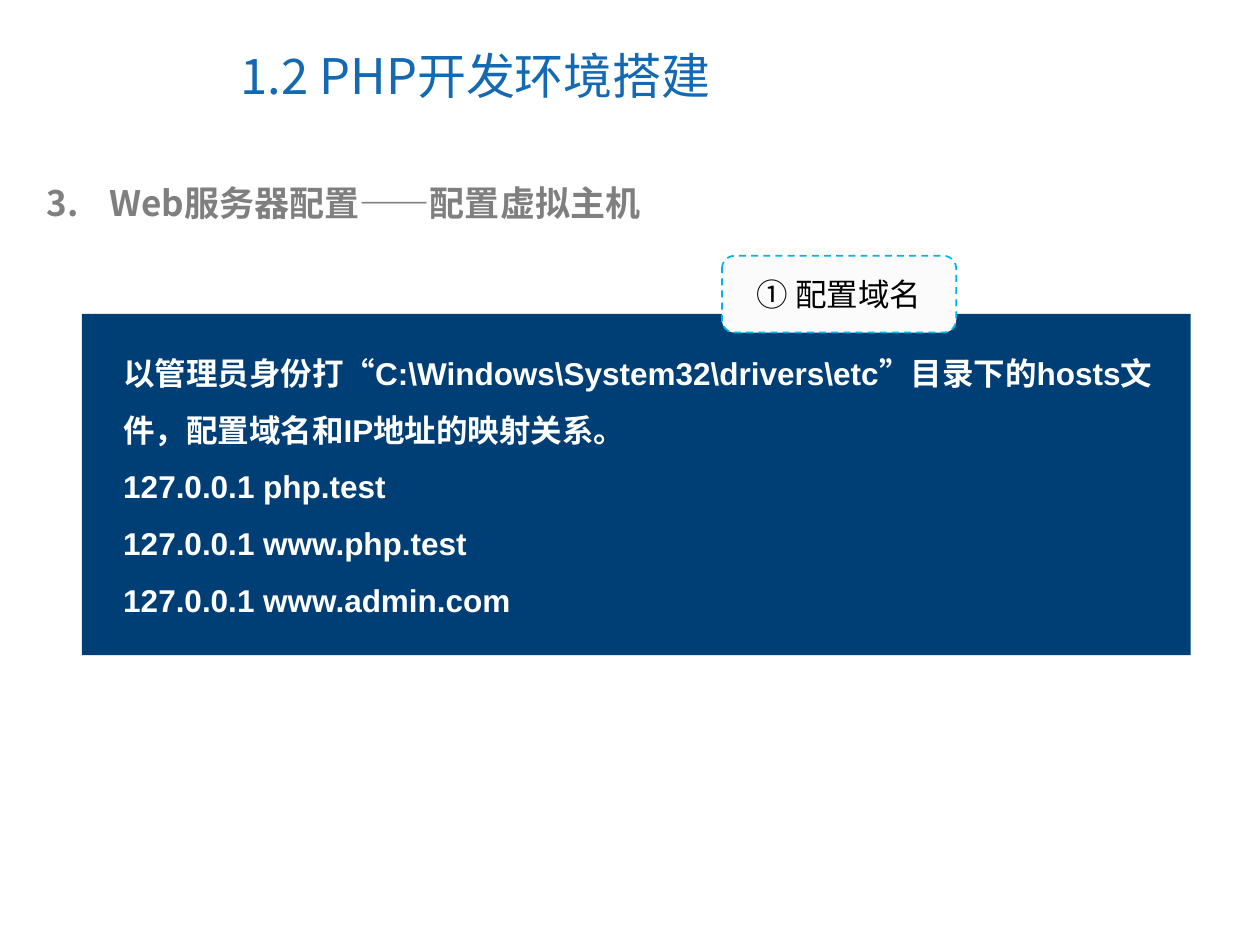
from dataclasses import dataclass

from lxml import etree
from pptx import Presentation
from pptx.dml.color import RGBColor
from pptx.enum.dml import MSO_LINE
from pptx.enum.shapes import MSO_SHAPE
from pptx.enum.text import MSO_ANCHOR, MSO_AUTO_SIZE, PP_ALIGN
from pptx.oxml.ns import qn
from pptx.util import Inches, Pt

RECTANGLE = MSO_SHAPE.RECTANGLE
ROUNDED = MSO_SHAPE.ROUNDED_RECTANGLE
DASH = MSO_LINE.DASH
MIDDLE = MSO_ANCHOR.MIDDLE
LEFT, CENTER = PP_ALIGN.LEFT, PP_ALIGN.CENTER
TITLE_ONLY = 5


@dataclass(frozen=True)
class Theme:
    title_blue: str = "1369B2"
    heading_gray: str = "7F7F7F"
    panel_navy: str = "003F75"
    label_fill: str = "FBFBFB"
    label_line: str = "00B4E9"
    white: str = "FFFFFF"
    black: str = "000000"
    title_size: int = 28
    heading_size: int = 20
    body_size: int = 18
    latin: str = "Arial"
    chinese: str = "Noto Sans CJK SC"


THEME = Theme()

HOSTS_LINES = [
    "以管理员身份打“C:\\Windows\\System32\\drivers\\etc”目录下的hosts文件，"
    "配置域名和IP地址的映射关系。",
    "127.0.0.1 php.test",
    "127.0.0.1 www.php.test",
    "127.0.0.1 www.admin.com",
]


def write_text(shape, lines, size, color, font=THEME.chinese, bold=False, **para_format):
    """Fill a shape with paragraphs that share one format."""
    frame = shape.text_frame
    frame.word_wrap = True
    frame.text = "\n".join(lines)
    font_format = {"size": Pt(size), "bold": bold, "name": font}
    for para in frame.paragraphs:
        for name, value in para_format.items():
            setattr(para, name, value)
        for span in para.runs:
            for name, value in font_format.items():
                setattr(span.font, name, value)
            span.font.color.rgb = RGBColor.from_string(color)
            latin = span.font._element.find(qn("a:latin"))
            east_asian = etree.Element(qn("a:ea"), typeface=THEME.chinese)
            latin.addnext(east_asian)


def add_title(page, text):
    title = page.shapes.title
    place = {"left": 1.81, "top": 0.17, "width": 5.16, "height": 0.85}
    for name, value in place.items():
        setattr(title, name, Inches(value))
    write_text(title, [text], THEME.title_size, THEME.title_blue, alignment=LEFT)
    title.text_frame.vertical_anchor = MIDDLE
    title.text_frame.auto_size = MSO_AUTO_SIZE.NONE


def add_text_box(page, place, lines, size, color, **text_format):
    box = page.shapes.add_textbox(*map(Inches, place))
    write_text(box, lines, size, color, **text_format)
    return box


def number_paragraph(para, start):
    """Give a paragraph a hanging automatic number."""
    properties = para._p.get_or_add_pPr()
    properties.set("marL", str(Inches(0.5)))
    properties.set("indent", str(Inches(-0.5)))
    etree.SubElement(properties, qn("a:buFont"), typeface="+mj-lt")
    etree.SubElement(properties, qn("a:buAutoNum"), type="arabicPeriod", startAt=str(start))


def add_filled_shape(page, kind, place, fill):
    shape = page.shapes.add_shape(kind, *map(Inches, place))
    shape.shadow.inherit = False
    shape.fill.solid()
    shape.fill.fore_color.rgb = RGBColor.from_string(fill)
    shape.line.fill.background()
    return shape


def add_step_label(page, place, text):
    label = add_filled_shape(page, ROUNDED, place, THEME.label_fill)
    label.line.color.rgb = RGBColor.from_string(THEME.label_line)
    label.line.width = Pt(1)
    label.line.dash_style = DASH
    write_text(label, [text], THEME.body_size, THEME.black,
               font=THEME.latin, alignment=CENTER)
    label.text_frame.vertical_anchor = MIDDLE


def main():
    deck = Presentation()
    deck.slide_width, deck.slide_height = Inches(10), Inches(7.5)
    page = deck.slides.add_slide(deck.slide_layouts[TITLE_ONLY])

    add_title(page, "1.2 PHP开发环境搭建")
    heading = add_text_box(page, (0.27, 1.39, 9.22, 0.44),
                           ["Web服务器配置——配置虚拟主机"],
                           THEME.heading_size, THEME.heading_gray, bold=True)
    number_paragraph(heading.text_frame.paragraphs[0], start=3)

    add_filled_shape(page, RECTANGLE, (0.65, 2.49, 8.8, 2.71), THEME.panel_navy)
    add_text_box(page, (0.88, 2.61, 8.56, 2.35), HOSTS_LINES,
                 THEME.body_size, THEME.white,
                 font=THEME.latin, bold=True, line_spacing=1.5)
    add_step_label(page, (5.73, 2.03, 1.86, 0.61), "① 配置域名")

    deck.save("out.pptx")


if __name__ == "__main__":
    main()
